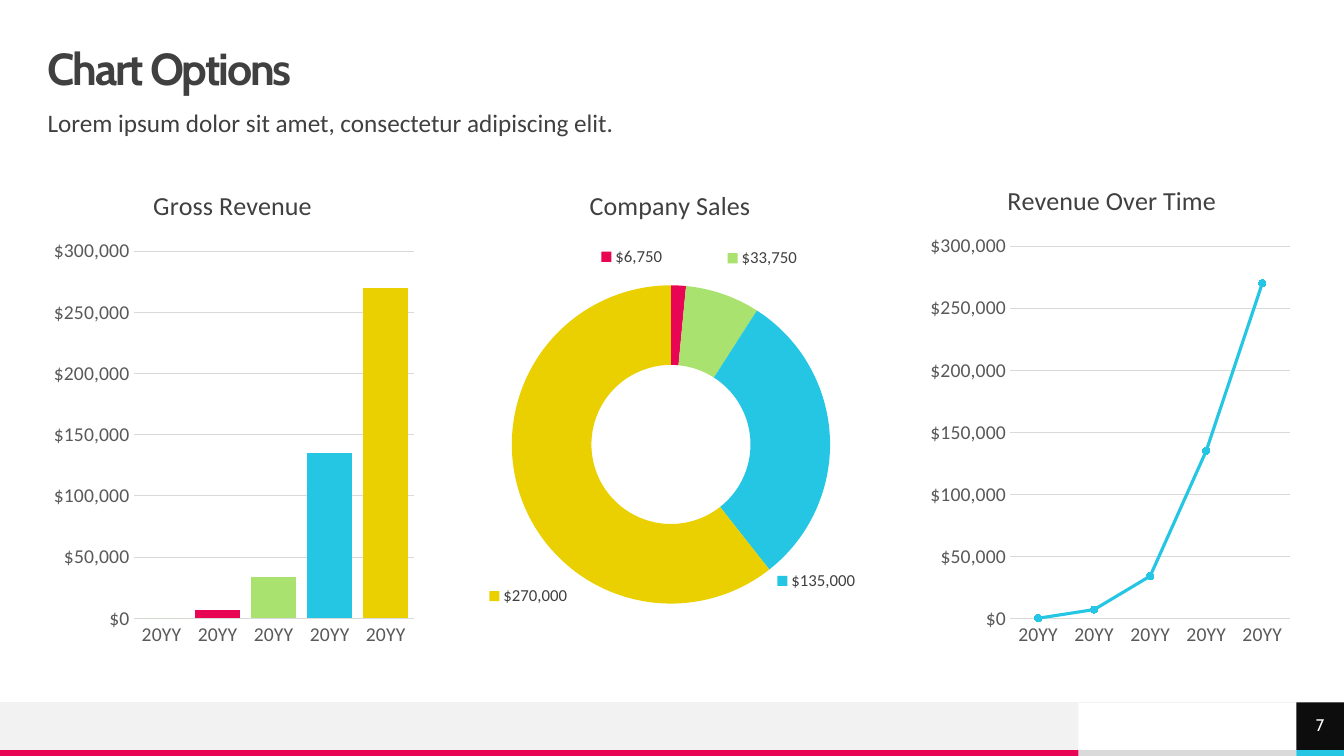
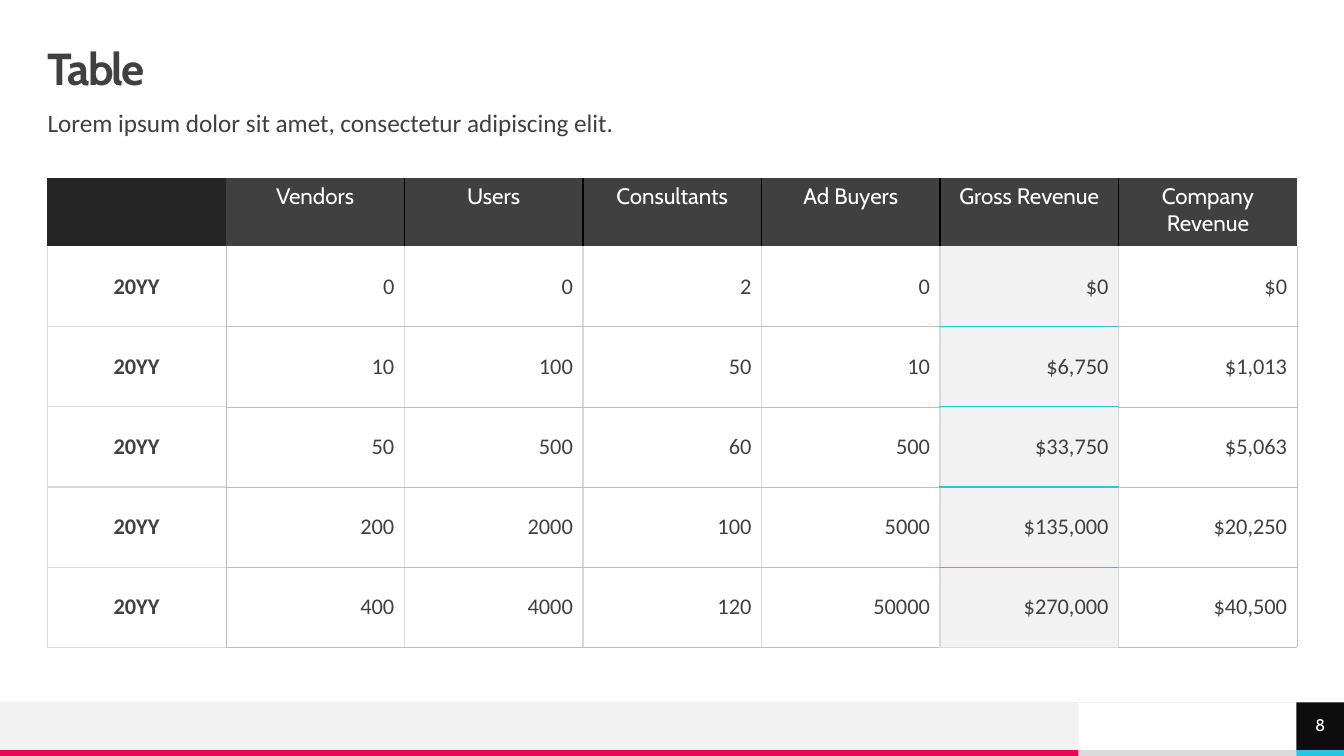
import pptx
import pptx.util
import pptx.dml.color
import pptx.chart.data
import pptx.enum.chart
import pptx.enum.shapes
import pptx.enum.text
import pptx.oxml
import pptx.oxml.ns
from dataclasses import dataclass

Cm, Pt = pptx.util.Cm, pptx.util.Pt
RGB = pptx.dml.color.RGBColor.from_string
Kind = pptx.enum.chart.XL_CHART_TYPE
Align = pptx.enum.text.PP_ALIGN
Anchor = pptx.enum.text.MSO_ANCHOR
qn = pptx.oxml.ns.qn


@dataclass(frozen=True)
class Theme:
    head: str = "Cabin"
    body: str = "Calibri"
    ink: str = "404040"
    soft: str = "595959"
    dark: str = "262626"
    black: str = "0D0D0D"
    white: str = "FFFFFF"
    pale: str = "F2F2F2"
    grid: str = "D9D9D9"
    rule: str = "BFBFBF"
    gray: str = "DADADA"
    pink: str = "E80554"
    green: str = "A9E26F"
    cyan: str = "25C6E3"
    gold: str = "EAD000"
    title: float = 32
    lead: float = 18
    chart: float = 18.6
    cell: float = 16
    axis: float = 14
    small: float = 12


T = Theme()

# Content
LEAD = "Lorem ipsum dolor sit amet, consectetur adipiscing elit."
MONEY = "[$$-409]#,##0"
YEARS = ["20YY"] * 5
SALES = [0, 7000, 34000, 135000, 270000]
HUES = [T.green, T.pink, T.green, T.cyan, T.gold]

# plot is x, y, width, height and head is x, y, as shares of the chart
CHARTS = [
    dict(title="Gross Revenue", kind=Kind.COLUMN_CLUSTERED, cats=YEARS, vals=SALES,
         left=1.2, head=(0.27, 0.03), plot=(0.23, 0.17, 0.75, 0.75)),
    dict(title="Company Sales", kind=Kind.DOUGHNUT, cats=["1", "2", "3", "4", "5"],
         vals=[0, 6750, 33750, 135000, 270000],
         left=12.2, head=(0.27, 0.03), plot=(0.07, 0.24, 0.86, 0.65)),
    dict(title="Revenue Over Time", kind=Kind.LINE_MARKERS_STACKED, cats=YEARS, vals=SALES,
         left=23.29, head=(0.21, 0.02), plot=(0.23, 0.16, 0.75, 0.76)),
]
# Shift of each ring label from the middle of its slice
SHIFTS = {1: (-0.12, -0.14), 2: (0.14, -0.15), 3: (0.07, 0.29), 4: (-0.08, 0.23)}

TABLE = [
    ("", "Vendors", "Users", "Consultants", "Ad Buyers", "Gross Revenue", "Company Revenue"),
    ("20YY", "0", "0", "2", "0", "$0", "$0"),
    ("20YY", "10", "100", "50", "10", "$6,750", "$1,013"),
    ("20YY", "50", "500", "60", "500", "$33,750", "$5,063"),
    ("20YY", "200", "2000", "100", "5000", "$135,000", "$20,250"),
    ("20YY", "400", "4000", "120", "50000", "$270,000", "$40,500"),
]
KEY = 5  # highlighted column

# Frame, in centimetres
WIDE, HIGH = 33.87, 19.05
EDGE, BAND, STRIP = 1.2, 1.2, 0.15
FOOT = HIGH - STRIP
TOP = FOOT - BAND
PAGE = WIDE - BAND
PANEL = 27.18


def box(*nums):
    return [Cm(n) for n in nums]


def style(font, size, color, name=T.body, bold=False):
    font.size, font.name, font.bold = Pt(size), name, bold
    font.color.rgb = RGB(color)


def node(tag, attrs="", inner=""):
    """Build one XML element from its prefixed tag."""
    return pptx.oxml.parse_xml("<%s %s %s>%s</%s>" % (
        tag, pptx.oxml.ns.nsdecls(tag[0]), attrs, inner, tag))


def write(frame, text, size, color, name=T.body, bold=False,
          align=Align.LEFT, anchor=Anchor.TOP, gap=0):
    frame.word_wrap = True
    frame.vertical_anchor = anchor
    frame.margin_left = frame.margin_right = frame.margin_top = frame.margin_bottom = 0
    para = frame.paragraphs[0]
    run = para.add_run()
    run.text = text
    para.alignment = align
    para.line_spacing = 0.9
    style(para.font, size, color, name, bold)
    if gap:
        run._r.get_or_add_rPr().set("spc", str(round(gap * 100)))


def rect(slide, spot, color):
    shape = slide.shapes.add_shape(pptx.enum.shapes.MSO_SHAPE.RECTANGLE, *box(*spot))
    shape.shadow.inherit = False
    shape.fill.solid()
    shape.fill.fore_color.rgb = RGB(color)
    shape.line.fill.background()
    return shape


# Parts that every slide shares
def start(deck, title, page):
    slide = deck.slides.add_slide(deck.slide_layouts[5])
    for spot, color in [
        ((PANEL, FOOT, PAGE - PANEL, STRIP), T.gray),
        ((0, TOP, PANEL, BAND), T.pale),
        ((0, FOOT, PANEL, STRIP), T.pink),
        ((PAGE, FOOT, BAND, STRIP), T.cyan),
    ]:
        rect(slide, spot, color)

    line = slide.shapes.add_connector(
        pptx.enum.shapes.MSO_CONNECTOR.STRAIGHT, *box(WIDE, TOP, 0, TOP))
    line.line.color.rgb = RGB(T.pale)
    line.line.width = Pt(0.5)
    line._element.spPr.append(node("a:effectLst"))

    head = slide.shapes.title
    head.left, head.top, head.width, head.height = box(EDGE, 1.2, 31.5, 1.2)
    write(head.text_frame, title, T.title, T.ink, T.head, True,
          anchor=Anchor.MIDDLE, gap=-1.5)
    lead = slide.shapes.add_textbox(*box(EDGE, 2.8, 31.5, 1))
    write(lead.text_frame, LEAD, T.lead, T.ink)

    tile = rect(slide, (PAGE, TOP, BAND, BAND), T.black)
    write(tile.text_frame, str(page), T.small, T.white, T.head,
          align=Align.CENTER, anchor=Anchor.MIDDLE)
    return slide


# Charts
def place(part, index, nums, inner=False, edge=True):
    """Put a manual layout into a chart element."""
    old = part.find(qn("c:layout"))
    if old is not None:
        part.remove(old)
    body = '<c:layoutTarget val="inner"/>' if inner else ""
    if edge:
        body += '<c:xMode val="edge"/><c:yMode val="edge"/>'
    body += "".join('<c:%s val="%s"/>' % pair for pair in zip("xywh", nums))
    part.insert(index, node(
        "c:layout", inner="<c:manualLayout>%s</c:manualLayout>" % body))


def axes(chart):
    cat, val = chart.category_axis, chart.value_axis
    for axis in (cat, val):
        axis.major_tick_mark = axis.minor_tick_mark = pptx.enum.chart.XL_TICK_MARK.NONE
        style(axis.tick_labels.font, T.axis, T.soft)
    cat.has_major_gridlines = False
    val.has_major_gridlines = True
    for line in (cat.format.line, val.major_gridlines.format.line):
        line.color.rgb = RGB(T.grid)
        line.width = Pt(0.75)
    val.format.line.fill.background()
    val.minimum_scale, val.maximum_scale, val.major_unit = 0, 300000, 50000
    val.tick_labels.number_format = MONEY
    val.tick_labels.number_format_is_linked = False


def labels(series):
    series.data_labels.show_value = False
    group = series.data_labels._element
    for old in group.findall(qn("c:showLeaderLines")):
        group.remove(old)
    group.append(node("c:showLeaderLines", 'val="0"'))
    for i, shift in SHIFTS.items():
        label = series.points[i].data_label
        style(label.font, T.small, T.ink)
        part = label._get_or_add_dLbl()
        place(part, 1, shift, edge=False)
        part.insert(2, node("c:numFmt", 'formatCode="%s" sourceLinked="0"' % MONEY))
        part.find(qn("c:showLegendKey")).set("val", "1")


def draw(slide, item):
    data = pptx.chart.data.CategoryChartData()
    data.categories = item["cats"]
    data.add_series("Series 1", item["vals"])
    kind = item["kind"]
    chart = slide.shapes.add_chart(kind, *box(item["left"], 4.23, 9.42, 12.34), data).chart
    style(chart.font, 10, "000000")
    chart.has_legend = False
    chart.has_title = True
    para = chart.chart_title.text_frame.paragraphs[0]
    para.add_run().text = item["title"]
    style(para.font, T.chart, T.ink)
    place(chart.chart_title._element, 1, item["head"])
    place(chart._chartSpace.chart.plotArea, 0, item["plot"], inner=True)

    plot = chart.plots[0]
    plot.vary_by_categories = kind == Kind.DOUGHNUT
    series = plot.series[0]
    if kind == Kind.LINE_MARKERS_STACKED:
        series.smooth = False
        series.format.line.color.rgb = RGB(T.cyan)
        series.format.line.width = Pt(2.25)
        series.marker.style = pptx.enum.chart.XL_MARKER_STYLE.CIRCLE
        series.marker.size = 5
        series.marker.format.fill.solid()
        series.marker.format.fill.fore_color.rgb = RGB(T.cyan)
        series.marker.format.line.color.rgb = RGB(T.cyan)
    else:
        for i, hue in enumerate(HUES):
            look = series.points[i].format
            look.fill.solid()
            look.fill.fore_color.rgb = RGB(hue)
            look.line.fill.background()
    if kind == Kind.DOUGHNUT:
        labels(series)
    else:
        axes(chart)
    if kind == Kind.COLUMN_CLUSTERED:
        plot.gap_width = 25


# Table
def upright(row, edge):
    """Line at the given column edge, as (colour, points)."""
    if row == 0:
        return ("000000", 1) if 1 < edge < 7 else None
    return (T.rule, 0.25) if edge in (1, 7) else (T.grid, 1)


def level(edge, col):
    """Line at the given row edge."""
    if edge < 2:
        return None
    if col == 0 or (col == KEY and edge == len(TABLE)):
        return (T.grid, 1)
    return (T.cyan, 1) if col == KEY else (T.rule, 0.25)


def border(cell, side, line):
    fill, width = "<a:noFill/>", 0
    if line:
        fill = '<a:solidFill><a:srgbClr val="%s"/></a:solidFill>' % line[0]
        width = Pt(line[1])
    cell._tc.get_or_add_tcPr().append(node("a:ln" + side, 'w="%d"' % width, fill))


def tabulate(slide):
    rows, cols = len(TABLE), len(TABLE[0])
    table = slide.shapes.add_table(rows, cols, *box(1.19, 4.48, 31.5, 11.83)).table
    table.first_row = table.horz_banding = False
    for col in table.columns:
        col.width = Cm(31.5 / cols)
    for r, texts in enumerate(TABLE):
        table.rows[r].height = Cm(2.02 if r else 1.73)
        for c, text in enumerate(texts):
            cell = table.cell(r, c)
            for side, line in (("L", upright(r, c)), ("R", upright(r, c + 1)),
                               ("T", level(r, c)), ("B", level(r + 1, c))):
                border(cell, side, line)
            if r == 0:
                fill = T.ink if c else T.dark
            else:
                fill = T.pale if c == KEY else T.white
            cell.fill.solid()
            cell.fill.fore_color.rgb = RGB(fill)
            cell.vertical_anchor = Anchor.MIDDLE if r else Anchor.TOP
            cell.text = text
            para = cell.text_frame.paragraphs[0]
            para.alignment = Align.RIGHT if r and c else Align.CENTER
            style(para.font, T.cell, T.ink if r else T.white,
                  T.body if r else T.head, bool(r) and c == 0)


def main():
    deck = pptx.Presentation()
    deck.slide_width, deck.slide_height = box(WIDE, HIGH)
    slide = start(deck, "Chart Options", 7)
    for item in CHARTS:
        draw(slide, item)
    tabulate(start(deck, "Table", 8))
    deck.save("out.pptx")


if __name__ == "__main__":
    main()
